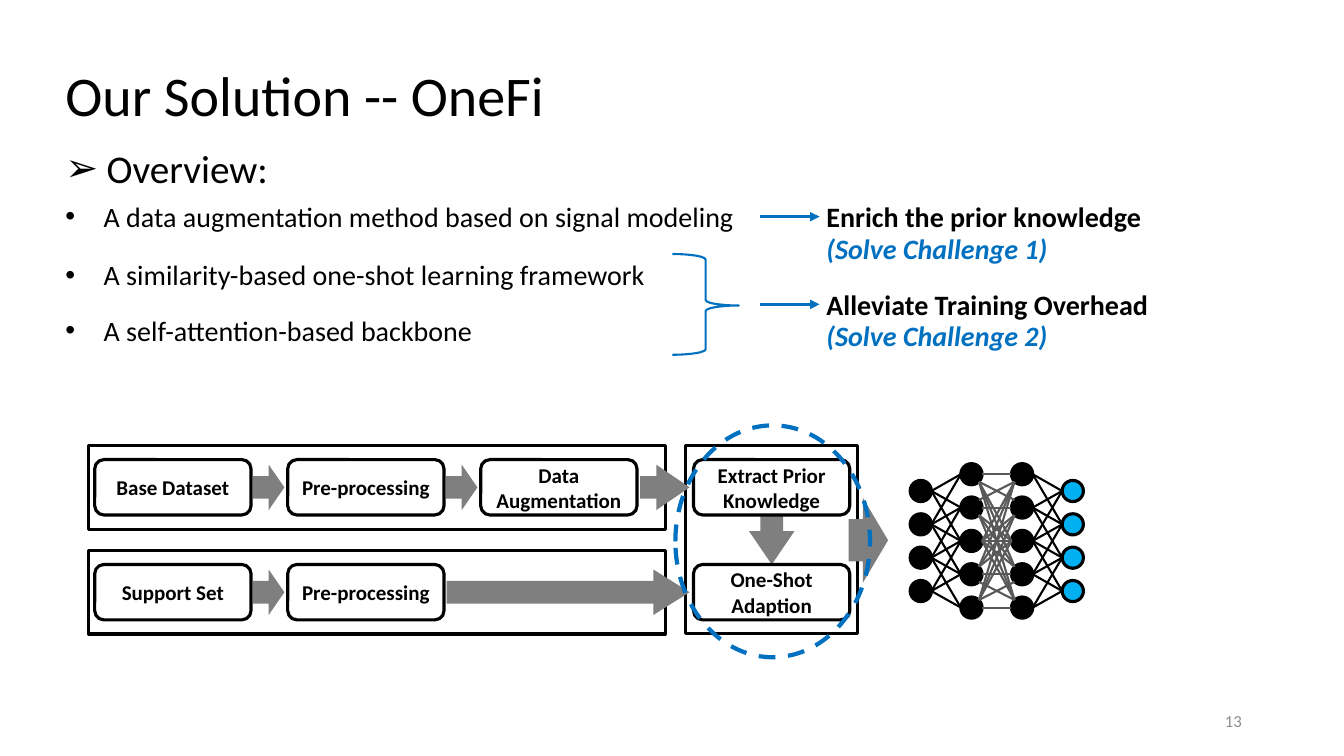
from itertools import product

from pptx import Presentation
from pptx.dml.color import RGBColor
from pptx.enum.dml import MSO_LINE_DASH_STYLE as Dash
from pptx.enum.shapes import MSO_CONNECTOR as Link, MSO_SHAPE as Shape
from pptx.enum.text import MSO_ANCHOR as Anchor, PP_ALIGN as Align
from pptx.oxml.ns import qn
from pptx.util import Inches, Pt
from lxml.etree import SubElement

BLACK = RGBColor(0x00, 0x00, 0x00)
WHITE = RGBColor(0xFF, 0xFF, 0xFF)
BLUE = RGBColor(0x00, 0x70, 0xC0)
CYAN = RGBColor(0x00, 0xB0, 0xF0)
GRAY = RGBColor(0x7F, 0x7F, 0x7F)
DARK_GRAY = RGBColor(0x59, 0x59, 0x59)
PALE_GRAY = RGBColor(0x8C, 0x8C, 0x8C)

FONT = "Calibri"
WIDTH, HEIGHT = Inches(13.33), Inches(7.5)
MARGIN = 4.13
LINE_H = 5.87

STEP_X, STEP_Y = 7.05, 60.8
STEP_W, STEP_H = 11.63, 7.33
STEP_PITCH, LANE_PITCH = 14.36, 13.87
MERGE_X = 51.6
ARROW_X, ARROW_Y = 18.83, 61.47
ARROW_W, ARROW_H = 2.33, 6

LAYER_X, LAYER_PITCH = 68.51, 3.77
HIDDEN_Y, OUTER_Y, NEURON_PITCH = 62.73, 64.95, 4.41
NEURON_W, NEURON_H = 1.58, 2.8
RIM_X, RIM_Y = 0.56, 1


def col(share):
    return int(WIDTH * share / 100)


def row(share):
    return int(HEIGHT * share / 100)


def frame(x, y, w, h):
    return col(x), row(y), col(w), row(h)


def add_span(para, text, size, color=BLACK, bold=False, italic=False):
    span = para.add_run()
    span.text = text
    font = span.font
    font.name, font.size, font.bold, font.italic = FONT, Pt(size), bold, italic
    font.color.rgb = color


def set_bullet(para, mark, indent):
    props = para._p.get_or_add_pPr()
    props.set("marL", str(Inches(indent)))
    props.set("indent", str(-Inches(indent)))
    SubElement(props, qn("a:buFont")).set("typeface", "Arial")
    SubElement(props, qn("a:buChar")).set("char", mark)


def add_text(page, place, text, size, color=BLACK, bold=False, italic=False,
             anchor=Anchor.TOP, align=Align.LEFT, bullet=None, spacing=None):
    box = page.shapes.add_textbox(*frame(*place))
    box.text_frame.word_wrap = True
    box.text_frame.vertical_anchor = anchor
    para = box.text_frame.paragraphs[0]
    para.alignment = align
    if spacing:
        para.line_spacing = spacing
    if bullet:
        set_bullet(para, *bullet)
    add_span(para, text, size, color, bold, italic)


def add_figure(page, kind, place, fill=None, line=None, weight=2.25, adjust=()):
    figure = page.shapes.add_shape(kind, *frame(*place))
    figure.shadow.inherit = False
    if fill is None:
        figure.fill.background()
    else:
        figure.fill.solid()
        figure.fill.fore_color.rgb = fill
    if line is None:
        figure.line.fill.background()
    else:
        figure.line.color.rgb = line
        figure.line.width = Pt(weight)
    for index, value in enumerate(adjust):
        figure.adjustments[index] = value
    return figure


def add_step(page, x, lane, label):
    place = x, STEP_Y + lane * LANE_PITCH, STEP_W, STEP_H
    step = add_figure(page, Shape.ROUNDED_RECTANGLE, place, WHITE, BLACK)
    step.text_frame.vertical_anchor = Anchor.MIDDLE
    para = step.text_frame.paragraphs[0]
    para.alignment = Align.CENTER
    add_span(para, label, 15, bold=True)


def add_block_arrow(page, place, head=0.5):
    return add_figure(page, Shape.RIGHT_ARROW, place, GRAY, adjust=(0.5, head))


def add_line(page, start, end, color, weight, arrow=False):
    line = page.shapes.add_connector(
        Link.STRAIGHT, col(start[0]), row(start[1]), col(end[0]), row(end[1]))
    line.line.color.rgb = color
    line.line.width = Pt(weight)
    if arrow:
        SubElement(line.line._get_or_add_ln(), qn("a:tailEnd")).set("type", "triangle")
    SubElement(line._element.spPr, qn("a:effectLst"))


def add_heading(page):
    add_text(page, (MARGIN, 4.53, 89.03, 17.07), "Our Solution -- OneFi", 40,
             anchor=Anchor.MIDDLE, spacing=0.9)
    add_text(page, (MARGIN, 19.07, 45.9, 8.53), "Overview:", 28,
             bullet=("➢", 0.41), spacing=0.9)


def add_methods(page):
    methods = [
        (25.73, "A data augmentation method based on signal modeling"),
        (33.47, "A similarity-based one-shot learning framework"),
        (40.8, "A self-attention-based backbone"),
    ]
    for y, text in methods:
        add_text(page, (MARGIN, y, 51.38, LINE_H), text, 20, bullet=("•", 0.38))
    add_figure(page, Shape.RIGHT_BRACE, (50.03, 33.6, 4.95, 13.33),
               line=BLUE, weight=1.5, adjust=(0.083, 0.511))


def add_benefits(page):
    benefits = [
        (25.73, "Enrich the prior knowledge", "(Solve Challenge 1)"),
        (37.33, "Alleviate Training Overhead", "(Solve Challenge 2)"),
    ]
    for y, benefit, challenge in benefits:
        add_line(page, (56.55, y + 2.93), (60.98, y + 2.93), BLUE, 2.25, arrow=True)
        add_text(page, (60.75, y, 38.4, LINE_H), benefit, 20, bold=True)
        add_text(page, (60.75, y + 4.2, 18.38, LINE_H), challenge, 20, BLUE,
                 bold=True, italic=True)


def add_pipeline(page):
    add_block_arrow(page, (55.58, 68.4, 3.68, ARROW_H), 0.734).rotation = 90
    lanes = [
        ["Base Dataset", "Pre-processing", "Data Augmentation"],
        ["Support Set", "Pre-processing"],
    ]
    merged = ["Extract Prior Knowledge", "One-Shot Adaption"]
    long_arrows = [(47.63, 3.68, 0.734), (33.23, 18.08, 0.796)]
    for lane, labels in enumerate(lanes):
        shift = lane * LANE_PITCH
        for index, label in enumerate(labels):
            add_step(page, STEP_X + index * STEP_PITCH, lane, label)
        for index in range(len(labels) - 1):
            x = ARROW_X + index * STEP_PITCH
            add_block_arrow(page, (x, ARROW_Y + shift, ARROW_W, ARROW_H))
        add_step(page, MERGE_X, lane, merged[lane])
        add_figure(page, Shape.RECTANGLE, (6.6, 58.93 + shift, 42.9, 11.07), line=BLACK)
    add_figure(page, Shape.RECTANGLE, (51, 58.93, 12.83, 24.93), line=BLACK)
    add_block_arrow(page, (63.15, 65.87, 2.93, 11.2), 0.637)
    for lane, (x, width, head) in enumerate(long_arrows):
        add_block_arrow(page, (x, ARROW_Y + lane * LANE_PITCH, width, ARROW_H), head)
    focus = add_figure(page, Shape.OVAL, (50.25, 56.27, 14.48, 30.67), line=BLUE, weight=3)
    focus.line.dash_style = Dash.DASH


def rim_point(center, side, rise):
    x, y = center
    if rise == 0:
        return x + side * NEURON_W / 2, y
    return x + side * RIM_X, y + rise * RIM_Y


def add_network(page):
    layers = []
    for index, count in enumerate([4, 5, 5, 4]):
        x = LAYER_X + index * LAYER_PITCH
        top = HIDDEN_Y if count == 5 else OUTER_Y
        layers.append([(x, top + n * NEURON_PITCH) for n in range(count)])
    for index, layer in enumerate(layers):
        for x, y in layer:
            place = x - NEURON_W / 2, y - NEURON_H / 2, NEURON_W, NEURON_H
            add_figure(page, Shape.OVAL, place, CYAN if index == 3 else BLACK, BLACK)
    inputs, first, second, outputs = layers
    for outer, hidden in product(range(4), range(5)):
        if -1 <= hidden - outer <= 2:
            add_line(page, rim_point(inputs[outer], 1, 0),
                     rim_point(first[hidden], -1, 0), BLACK, 1.5)
            add_line(page, rim_point(second[hidden], 1, 0),
                     rim_point(outputs[outer], -1, 0), BLACK, 1.5)
    for left, right in product(range(5), repeat=2):
        slope = (right > left) - (right < left)
        add_line(page, rim_point(first[left], 1, 0 if left == 2 else slope),
                 rim_point(second[right], -1, 0 if right == 2 else -slope),
                 DARK_GRAY, 1.5)


def main():
    deck = Presentation()
    deck.slide_width, deck.slide_height = WIDTH, HEIGHT
    page = deck.slides.add_slide(deck.slide_layouts[6])
    add_heading(page)
    add_methods(page)
    add_benefits(page)
    add_pipeline(page)
    add_network(page)
    add_text(page, (70.65, 92.67, 22.5, 5.33), "13", 12, PALE_GRAY,
             anchor=Anchor.MIDDLE, align=Align.RIGHT)
    deck.save("out.pptx")


if __name__ == "__main__":
    main()
